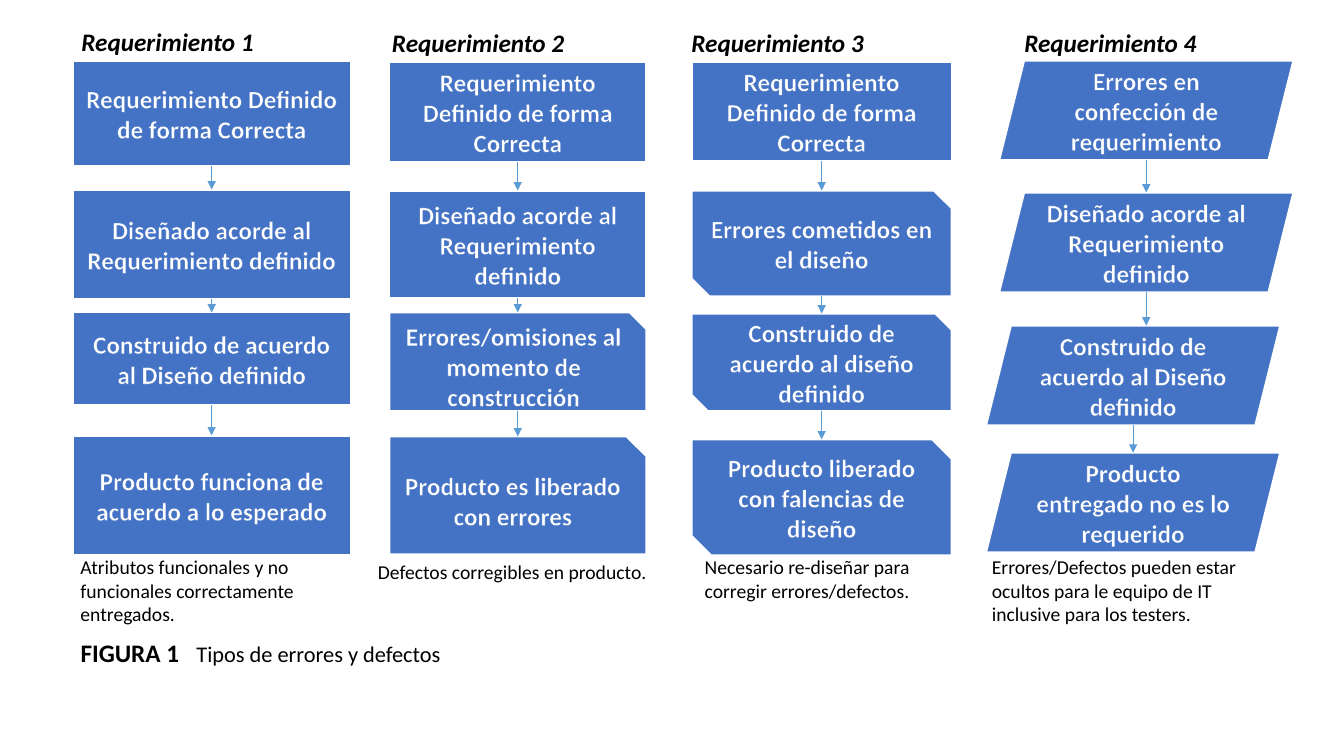
import dataclasses

import lxml.etree
import pptx
import pptx.dml.color
import pptx.enum.shapes
import pptx.enum.text
import pptx.oxml
import pptx.oxml.ns
import pptx.util

SHAPES = pptx.enum.shapes.MSO_SHAPE
PROCESS = SHAPES.FLOWCHART_PROCESS
SNIP_ONE = SHAPES.SNIP_1_RECTANGLE
SNIP_TWO = SHAPES.SNIP_2_DIAG_RECTANGLE
SLANTED = SHAPES.PARALLELOGRAM
SIDE_JOINED = (PROCESS, SNIP_ONE)
TOP_SIDE, BOTTOM_SIDE = 0, 2

SLIDE_WIDTH = pptx.util.Inches(13.33)
SLIDE_HEIGHT = pptx.util.Inches(7.5)


@dataclasses.dataclass(frozen=True)
class Theme:
    font: str = "Calibri"
    step_fill: str = "4472C4"
    step_text: str = "FFFFFF"
    step_line: str = "FFFFFF"
    arrow: str = "5B9BD5"
    text: str = "000000"
    large: float = 18
    caption: float = 16
    note: float = 14
    step_line_width: float = 1.5
    arrow_width: float = 0.5
    glyph_line_width: float = 0.8


THEME = Theme()


@dataclasses.dataclass(frozen=True)
class Box:
    """A place on the slide, in percent of the slide's width and height."""
    left: float
    top: float
    width: float
    height: float

    def inner(self, shift, top, width, height):
        return Box(self.left + shift, self.top + top, width, height)

    def lengths(self):
        return (round(SLIDE_WIDTH * self.left / 100), round(SLIDE_HEIGHT * self.top / 100),
                round(SLIDE_WIDTH * self.width / 100), round(SLIDE_HEIGHT * self.height / 100))


@dataclasses.dataclass(frozen=True)
class Requirement:
    """Heading and note are (shift, top, width, height); a step is (kind, shift, top, height, text)."""
    box: Box
    heading: tuple
    note: tuple
    note_text: str
    steps: tuple


DEFINED = "Requerimiento Definido de forma Correcta"
DESIGNED = "Diseñado acorde al Requerimiento definido"
BUILT = "Construido de acuerdo al Diseño definido"

REQUIREMENTS = (
    Requirement(
        Box(5.4, 0, 20.7, 84), (-0.08, 2.8, 15.75, 5.33), (-0.15, 72.8, 23.93, 10.8),
        "Atributos funcionales y no funcionales correctamente entregados.",
        ((PROCESS, 0, 8, 14, DEFINED),
         (PROCESS, 0, 25.07, 14.53, DESIGNED),
         (PROCESS, 0, 41.33, 12.27, BUILT),
         (PROCESS, 0, 57.6, 15.87, "Producto funciona de acuerdo a lo esperado"))),
    Requirement(
        Box(28.96, 0, 19.13, 84), (-0.53, 2.93, 17.33, 5.33), (-1.58, 73.47, 22.21, 4.53),
        "Defectos corregibles en producto.",
        ((PROCESS, 0, 8.13, 13.33, DEFINED),
         (PROCESS, 0, 25.2, 14.27, DESIGNED),
         (SNIP_ONE, 0, 41.33, 13.07, "Errores/omisiones al momento de construcción"),
         (SNIP_ONE, 0, 57.73, 15.6, "Producto es liberado con errores"))),
    Requirement(
        Box(51.46, 0, 19.35, 84), (-0.75, 2.93, 15.15, 5.33), (0.23, 72.8, 17.25, 7.6),
        "Necesario re-diseñar para corregir errores/defectos.",
        ((PROCESS, 0, 8.13, 13.2, DEFINED),
         (SNIP_TWO, 0, 25.2, 14, "Errores cometidos en el diseño"),
         (SNIP_TWO, 0, 41.47, 12.93, "Construido de acuerdo al diseño definido"),
         (SNIP_TWO, 0, 58.13, 15.33, "Producto liberado con falencias de diseño"))),
    Requirement(
        Box(74.34, 0, 21.9, 84), (1.13, 2.93, 14.7, 5.33), (-1.28, 72.8, 22.58, 10.8),
        "Errores/Defectos pueden estar ocultos para le equipo de IT inclusive para los testers.",
        ((SLANTED, 0, 8, 13.2, "Errores en confección de requerimiento"),
         (SLANTED, 0, 25.47, 13.2, DESIGNED),
         (SLANTED, -0.98, 43.07, 13.2, BUILT),
         (SLANTED, -0.98, 59.87, 13.2, "Producto entregado no es lo requerido"))),
)


def color(value):
    return pptx.dml.color.RGBColor.from_string(value)


def format_run(run, size, value, bold=False, italic=False):
    run.font.name = THEME.font
    run.font.size = pptx.util.Pt(size)
    run.font.bold = bold
    run.font.italic = italic
    run.font.color.rgb = color(value)


def outline_glyphs(run):
    properties = run.font._element
    line = pptx.oxml.parse_xml(
        f'<a:ln {pptx.oxml.ns.nsdecls("a")} w="{pptx.util.Pt(THEME.glyph_line_width)}">'
        f'<a:solidFill><a:srgbClr val="{THEME.step_fill}"/></a:solidFill></a:ln>')
    properties.insert(0, line)


def add_text(slide, box, text, size, bold=False, italic=False):
    text_box = slide.shapes.add_textbox(*box.lengths())
    frame = text_box.text_frame
    frame.word_wrap = True
    frame.auto_size = pptx.enum.text.MSO_AUTO_SIZE.SHAPE_TO_FIT_TEXT
    frame.text = text
    format_run(frame.paragraphs[0].runs[0], size, THEME.text, bold, italic)
    return text_box


def add_step(slide, box, kind, text):
    step = slide.shapes.add_shape(kind, *box.lengths())
    step.shadow.inherit = False
    step.fill.solid()
    step.fill.fore_color.rgb = color(THEME.step_fill)
    step.line.color.rgb = color(THEME.step_line)
    step.line.width = pptx.util.Pt(THEME.step_line_width)
    frame = step.text_frame
    frame.word_wrap = True
    frame.vertical_anchor = pptx.enum.text.MSO_ANCHOR.MIDDLE
    frame.text = text
    paragraph = frame.paragraphs[0]
    paragraph.alignment = pptx.enum.text.PP_ALIGN.CENTER
    format_run(paragraph.runs[0], THEME.large, THEME.step_text, bold=True)
    outline_glyphs(paragraph.runs[0])
    return step


def add_arrow(slide, upper, lower):
    middle = upper.left + upper.width // 2
    arrow = slide.shapes.add_connector(
        pptx.enum.shapes.MSO_CONNECTOR.STRAIGHT,
        middle, upper.top + upper.height, middle, lower.top)
    if upper.auto_shape_type in SIDE_JOINED:
        arrow.begin_connect(upper, BOTTOM_SIDE)
    if lower.auto_shape_type in SIDE_JOINED:
        arrow.end_connect(lower, TOP_SIDE)
    arrow.line.color.rgb = color(THEME.arrow)
    arrow.line.width = pptx.util.Pt(THEME.arrow_width)
    line = arrow.line._get_or_add_ln()
    lxml.etree.SubElement(line, pptx.oxml.ns.qn("a:tailEnd"), type="triangle")
    lxml.etree.SubElement(arrow._element.spPr, pptx.oxml.ns.qn("a:effectLst"))


def add_requirement(slide, number, requirement):
    box = requirement.box
    add_text(slide, box.inner(*requirement.heading), f"Requerimiento {number}",
             THEME.large, bold=True, italic=True)
    steps = [add_step(slide, box.inner(shift, top, box.width, height), kind, text)
             for kind, shift, top, height, text in requirement.steps]
    for upper, lower in zip(steps, steps[1:]):
        add_arrow(slide, upper, lower)
    add_text(slide, box.inner(*requirement.note), requirement.note_text, THEME.note)


def add_caption(slide, box):
    """Sets the figure's label and, at a tab stop, its description."""
    caption = add_text(slide, box, "FIGURA 1\t", THEME.large, bold=True)
    paragraph = caption.text_frame.paragraphs[0]
    description = paragraph.add_run()
    description.text = "Tipos de errores y defectos"
    format_run(description, THEME.caption, THEME.text)
    tabs = lxml.etree.SubElement(paragraph._p.get_or_add_pPr(), pptx.oxml.ns.qn("a:tabLst"))
    lxml.etree.SubElement(tabs, pptx.oxml.ns.qn("a:tab"),
                          pos=str(pptx.util.Inches(1.15)), algn="l")


def main():
    presentation = pptx.Presentation()
    presentation.slide_width = SLIDE_WIDTH
    presentation.slide_height = SLIDE_HEIGHT
    slide = presentation.slides.add_slide(presentation.slide_layouts.get_by_name("Blank"))
    for number, requirement in enumerate(REQUIREMENTS, start=1):
        add_requirement(slide, number, requirement)
    add_caption(slide, Box(5.25, 83.6, 36.23, 5.33))
    presentation.save("out.pptx")


if __name__ == "__main__":
    main()
